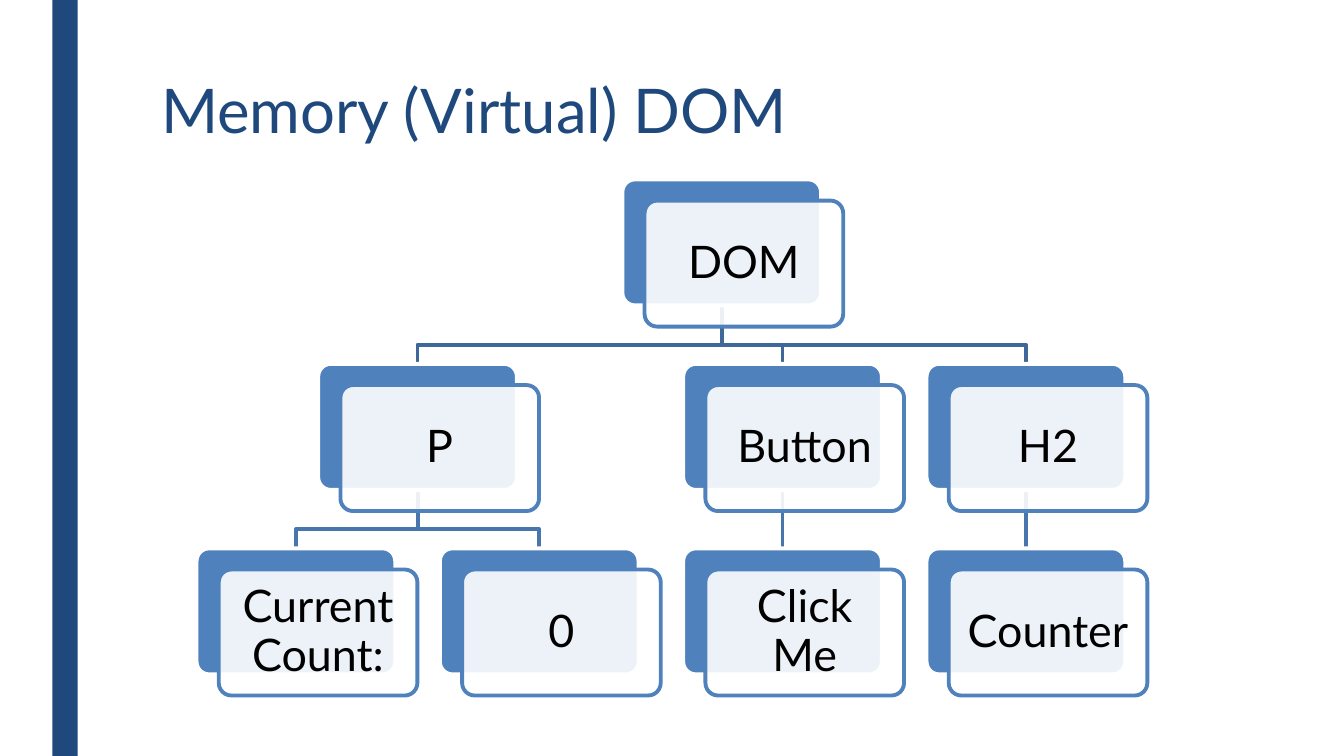
from pptx import Presentation
from pptx.dml.color import RGBColor
from pptx.enum.shapes import MSO_CONNECTOR, MSO_SHAPE
from pptx.enum.text import MSO_ANCHOR, PP_ALIGN
from pptx.oxml.ns import qn
from pptx.util import Inches, Pt
from lxml import etree

RECT, ROUND = MSO_SHAPE.RECTANGLE, MSO_SHAPE.ROUNDED_RECTANGLE
STRAIGHT = MSO_CONNECTOR.STRAIGHT
TOP, MIDDLE = MSO_ANCHOR.TOP, MSO_ANCHOR.MIDDLE
LEFT, CENTER = PP_ALIGN.LEFT, PP_ALIGN.CENTER

COLORS = {
    "navy": "1F497D", "blue": "4F81BD", "white": "FFFFFF", "black": "000000",
    "upper_link": "3F6797", "lower_link": "4875AC",
}
LINK_COLORS = ["upper_link", "lower_link"]

CARD_W, CARD_H = 1.97, 1.25
SHIFT_X, SHIFT_Y = 0.22, 0.21
TREE_X, TREE_Y = 1.95, 1.78
COL_STEP, ROW_STEP = 7.24 / 3, 1.83
BEND = 0.39

NODES = {
    "DOM": (1.75, 0, None),
    "P": (0.5, 1, "DOM"),
    "Current Count:": (0, 2, "P"),
    "0": (1, 2, "P"),
    "Button": (2, 1, "DOM"),
    "Click Me": (2, 2, "Button"),
    "H2": (3, 1, "DOM"),
    "Counter": (3, 2, "H2"),
}


def node_corner(name):
    col, row, _ = NODES[name]
    return TREE_X + col * COL_STEP, TREE_Y + row * ROW_STEP


class Deck:
    font = "Lato"
    line_width = Pt(2.75)

    def __init__(self, slide):
        self.shapes = slide.shapes

    def color(self, name):
        return RGBColor.from_string(COLORS[name])

    def stroke(self, line, color):
        line.color.rgb = self.color(color)
        line.width = self.line_width

    def box(self, kind, x, y, w, h, fill, line=None, alpha=None):
        s = self.shapes.add_shape(kind, Inches(x), Inches(y), Inches(w), Inches(h))
        s.shadow.inherit = False
        s.fill.solid()
        s.fill.fore_color.rgb = self.color(fill)
        if kind == ROUND:
            s.adjustments[0] = 0.1
        if line:
            self.stroke(s.line, line)
        else:
            s.line.fill.background()
        if alpha:
            rgb = s._element.spPr.find(qn("a:solidFill")).find(qn("a:srgbClr"))
            etree.SubElement(rgb, qn("a:alpha"), val=str(alpha * 1000))
        return s

    def label(self, s, text, size, color, align, spacing, frame):
        tf = s.text_frame
        for key, value in frame.items():
            setattr(tf, key, value)
        p = tf.paragraphs[0]
        p.alignment, p.line_spacing = align, spacing
        r = p.add_run()
        r.text = text
        for key, value in {"name": self.font, "size": Pt(size)}.items():
            setattr(r.font, key, value)
        r.font.color.rgb = self.color(color)

    def title(self, text, x, y, w, h):
        s = self.shapes.add_textbox(Inches(x), Inches(y), Inches(w), Inches(h))
        frame = {"word_wrap": True, "vertical_anchor": TOP}
        self.label(s, text, 44, "navy", LEFT, 0.89, frame)

    def card(self, text, x, y):
        back = self.box(ROUND, x, y, CARD_W, CARD_H, "blue", "white")
        front = self.box(ROUND, x + SHIFT_X, y + SHIFT_Y, CARD_W, CARD_H,
                         "white", "blue", 90)
        sides = ("left", "top", "right", "bottom")
        frame = {f"margin_{side}": Inches(0.13) for side in sides}
        frame.update(word_wrap=True, vertical_anchor=MIDDLE)
        self.label(front, text, 32, "black", CENTER, 0.9, frame)
        return back

    def straight(self, x, y1, y2, color):
        s = self.shapes.add_connector(
            STRAIGHT, Inches(x), Inches(y1), Inches(x), Inches(y2))
        self.stroke(s.line, color)
        etree.SubElement(s._element.spPr, qn("a:effectLst"))
        return s

    def elbow(self, x1, y1, x2, y2, color):
        points = [(x1, y1 + BEND), (x2, y1 + BEND), (x2, y2)]
        outline = self.shapes.build_freeform(Inches(x1), Inches(y1))
        outline.add_line_segments([(Inches(x), Inches(y)) for x, y in points], close=False)
        s = outline.convert_to_shape()
        s.shadow.inherit = False
        s.fill.background()
        self.stroke(s.line, color)

    def tree(self):
        joints = []
        for name, (col, row, parent) in reversed(NODES.items()):
            if parent is None:
                continue
            x1, y1 = node_corner(parent)
            x2, y2 = node_corner(name)
            x1, x2, y1 = x1 + CARD_W / 2, x2 + CARD_W / 2, y1 + CARD_H
            color = LINK_COLORS[row - 1]
            if col == NODES[parent][0]:
                joints.append((self.straight(x1, y1, y2, color), parent, name))
            else:
                self.elbow(x1, y1, x2, y2, color)
        cards = {name: self.card(name, *node_corner(name)) for name in NODES}
        for link, parent, child in joints:
            link.begin_connect(cards[parent], 2)
            link.end_connect(cards[child], 0)


def main():
    prs = Presentation()
    prs.slide_width, prs.slide_height = Inches(13.33), Inches(7.5)
    deck = Deck(prs.slides.add_slide(prs.slide_layouts[6]))
    deck.box(RECT, 0.52, 0, 0.25, 7.5, "navy")
    deck.tree()
    deck.title("Memory (Virtual) DOM", 1.5, 0.75, 10.5, 1.62)
    prs.save("out.pptx")


if __name__ == "__main__":
    main()
